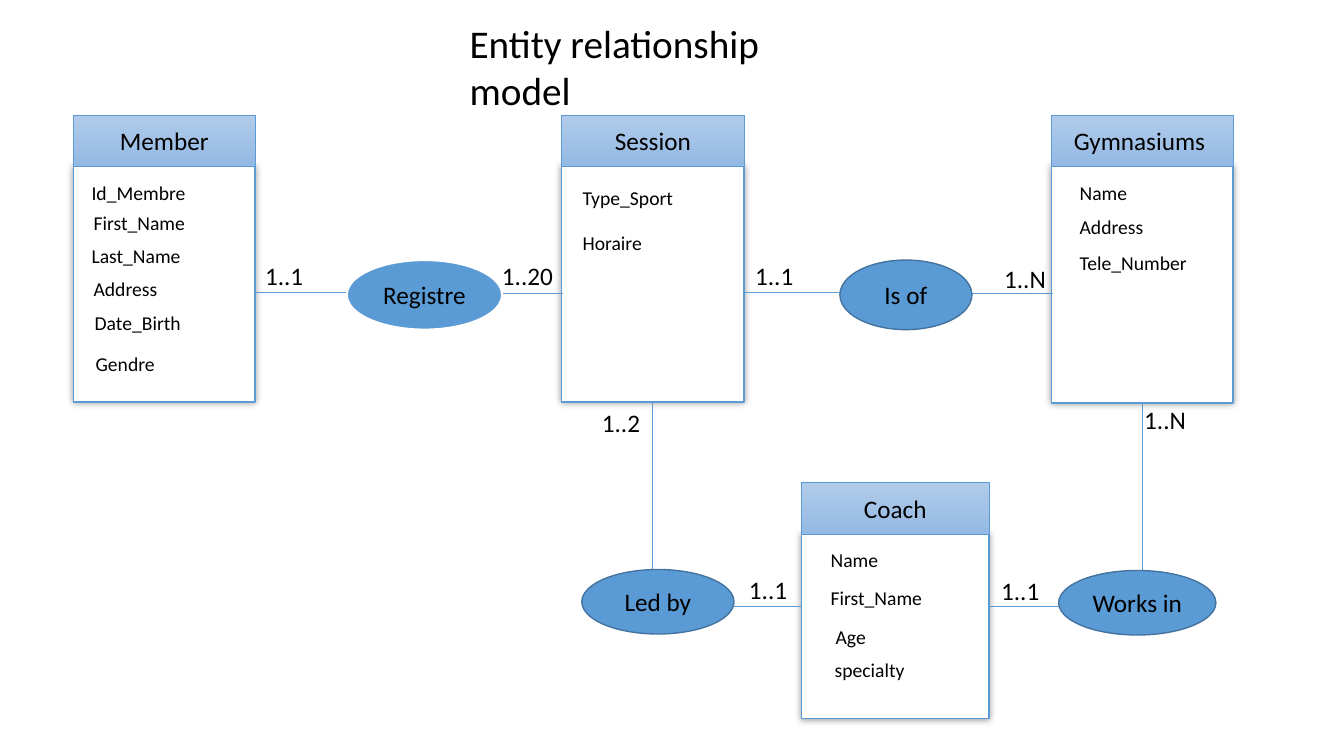
import pptx
import pptx.util
import pptx.dml.color
import pptx.enum.shapes
import pptx.enum.text
import pptx.oxml
import pptx.oxml.ns

Inches = pptx.util.Inches
Shape = pptx.enum.shapes.MSO_SHAPE
Align = pptx.enum.text.PP_ALIGN
Anchor = pptx.enum.text.MSO_ANCHOR

COLORS = {"line": "5B9BD5", "edge": "43739E", "white": "FFFFFF",
          "black": "000000", "top": "B1CBE9", "base": "93B9E4"}
HEAD = 0.51

CARDS = [
    ("Member", (0.73, 1.14, 1.8, 2.85),
     [("Id_Membre", 0.08, 0.61), ("First_Name", 0.1, 0.9),
      ("Last_Name", 0.08, 1.23), ("Address", 0.1, 1.56),
      ("Date_Birth", 0.11, 1.9), ("Gendre", 0.12, 2.3)]),
    ("Coach", (7.95, 4.79, 1.86, 2.34),
     [("Name", 0.19, 0.6), ("First_Name", 0.19, 0.97),
      ("Age", 0.24, 1.36), ("specialty", 0.23, 1.69)]),
    ("Gymnasiums\u00a0", (10.43, 1.14, 1.8, 2.86),
     [("Name", 0.18, 0.61), ("Address", 0.18, 0.94), ("Tele_Number", 0.18, 1.3)]),
    ("Session", (5.57, 1.14, 1.81, 2.85),
     [("Type_Sport", 0.11, 0.66), ("Horaire", 0.11, 1.1)]),
]
LINKS = [
    (2.53, 2.9, 3.71, 2.9), (4.56, 2.91, 5.58, 2.91),
    (7.39, 2.9, 8.56, 2.9), (9.42, 2.91, 10.44, 2.91),
    (6.47, 3.99, 6.47, 5.65), (11.33, 4, 11.33, 5.66),
    (7.22, 6.02, 7.95, 6.02), (9.81, 6.02, 10.53, 6.02),
]
OVALS = [
    ("Registre", (3.44, 2.58, 1.54, 0.69), "white", 1.5),
    ("Is of", (8.33, 2.58, 1.31, 0.69), "edge", 1),
    ("Led by", (5.77, 5.65, 1.51, 0.64), "edge", 1),
    ("Works in", (10.5, 5.66, 1.56, 0.64), "edge", 1),
]
COUNTS = [
    ("1..1", 2.53, 2.53, 0.58), ("1..20", 4.88, 2.53, 0.71),
    ("1..1", 7.39, 2.53, 0.58), ("1..N", 9.86, 2.56, 0.62),
    ("1..2", 5.87, 3.99, 0.58), ("1..N", 11.25, 3.96, 0.62),
    ("1..1", 7.33, 5.65, 0.58), ("1..1", 9.83, 5.66, 0.58),
]


def shade(name):
    return pptx.dml.color.RGBColor.from_string(COLORS[name])


def style(frame, text, size, align=Align.LEFT):
    frame.text = text
    for part in frame.paragraphs:
        part.alignment = align
        for run in part.runs:
            run.font.name = "Calibri"
            run.font.size = pptx.util.Pt(size)
            run.font.color.rgb = shade("black")


def add_text(slide, text, box, size, wrap):
    frame = slide.shapes.add_textbox(*map(Inches, box)).text_frame
    frame.word_wrap = wrap
    style(frame, text, size)


def add_block(slide, kind, box, line, width, text=""):
    block = slide.shapes.add_shape(kind, *map(Inches, box))
    block.shadow.inherit = False
    block.line.color.rgb = shade(line)
    block.line.width = pptx.util.Pt(width)
    if text:
        block.text_frame.vertical_anchor = Anchor.MIDDLE
        style(block.text_frame, text, 18, Align.CENTER)
    return block


def paint(block, name):
    block.fill.solid()
    block.fill.fore_color.rgb = shade(name)


def add_glow(block):
    space = pptx.oxml.ns.nsdecls("a")
    glow = pptx.oxml.parse_xml(
        f'<a:outerShdw {space} blurRad="{Inches(0.07)}" dist="0" dir="0">'
        f'<a:srgbClr val="{COLORS["black"]}"><a:alpha val="40000"/></a:srgbClr>'
        '</a:outerShdw>')
    block._element.spPr.find(pptx.oxml.ns.qn("a:effectLst")).append(glow)


def add_card(slide, title, box, fields):
    left, top, width, height = box
    body = add_block(slide, Shape.RECTANGLE,
                     (left, top + HEAD, width, height - HEAD), "line", 1)
    paint(body, "white")
    add_glow(body)
    head = add_block(slide, Shape.RECTANGLE, (left, top, width, HEAD),
                     "line", 0.5, title)
    head.fill.gradient()
    head.fill.gradient_angle = 270
    for stop, name, place in zip(head.fill.gradient_stops, ("top", "base"), (0, 1)):
        stop.color.rgb = shade(name)
        stop.position = place
    for text, right, down in fields:
        add_text(slide, text, (left + right, top + down, 1.4, 0.34), 14, True)


def add_link(slide, ends):
    link = slide.shapes.add_connector(
        pptx.enum.shapes.MSO_CONNECTOR.STRAIGHT, *map(Inches, ends))
    link.line.color.rgb = shade("line")
    link.line.width = pptx.util.Pt(0.5)
    pptx.oxml.ns.qn("a:effectLst")
    link._element.spPr.append(pptx.oxml.parse_xml(
        f'<a:effectLst {pptx.oxml.ns.nsdecls("a")}/>'))


def add_oval(slide, text, box, line, width):
    paint(add_block(slide, Shape.OVAL, box, line, width, text), "line")


def build():
    deck = pptx.Presentation()
    deck.slide_width, deck.slide_height = Inches(13.33), Inches(7.5)
    slide = deck.slides.add_slide(deck.slide_layouts[6])
    for card in CARDS:
        add_card(slide, *card)
    for ends in LINKS:
        add_link(slide, ends)
    for oval in OVALS:
        add_oval(slide, *oval)
    for text, left, top, width in COUNTS:
        add_text(slide, text, (left, top, width, 0.4), 18, False)
    add_text(slide, "Entity relationship model", (4.56, 0.14, 3.6, 0.57), 28, True)
    deck.save("out.pptx")


build()
